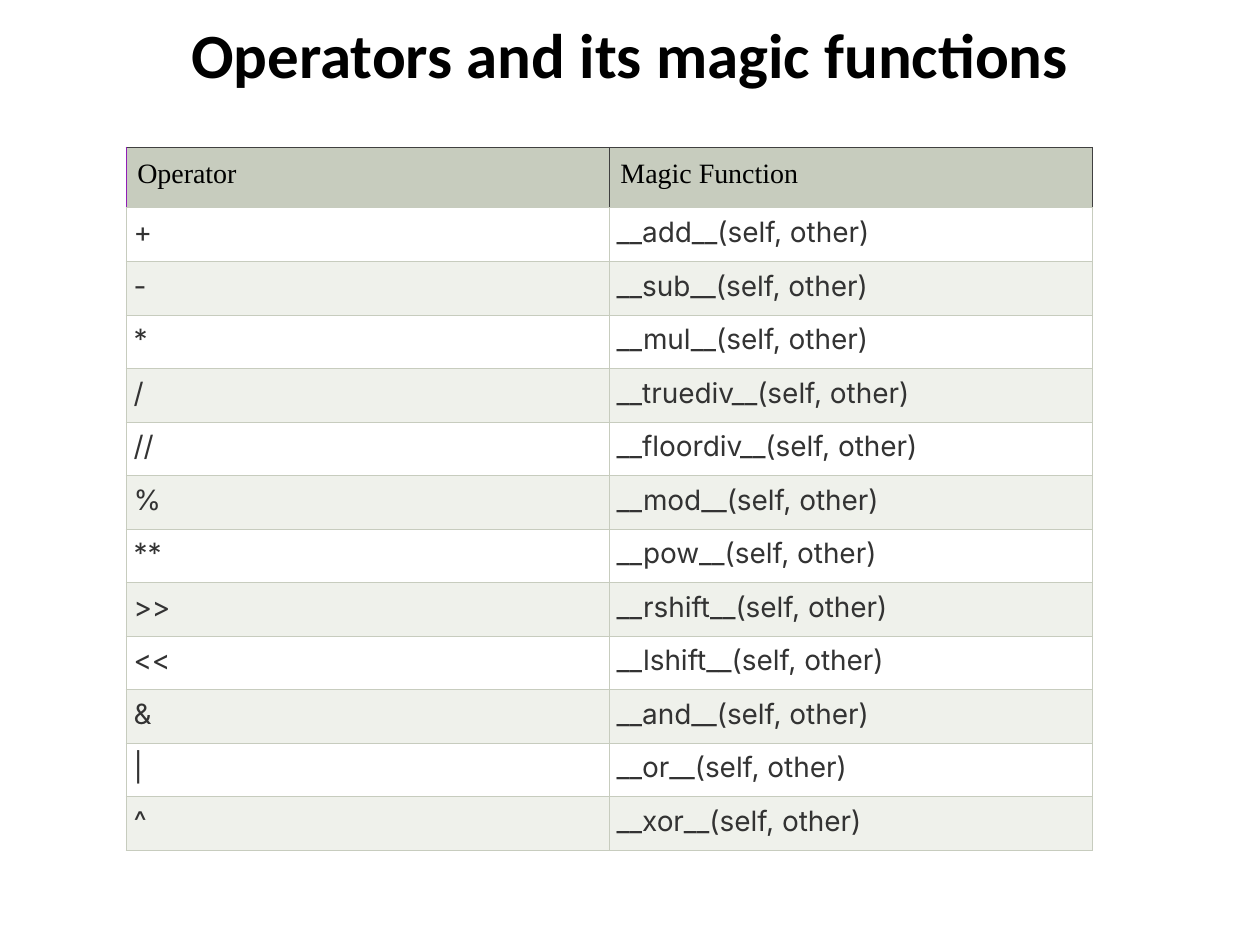
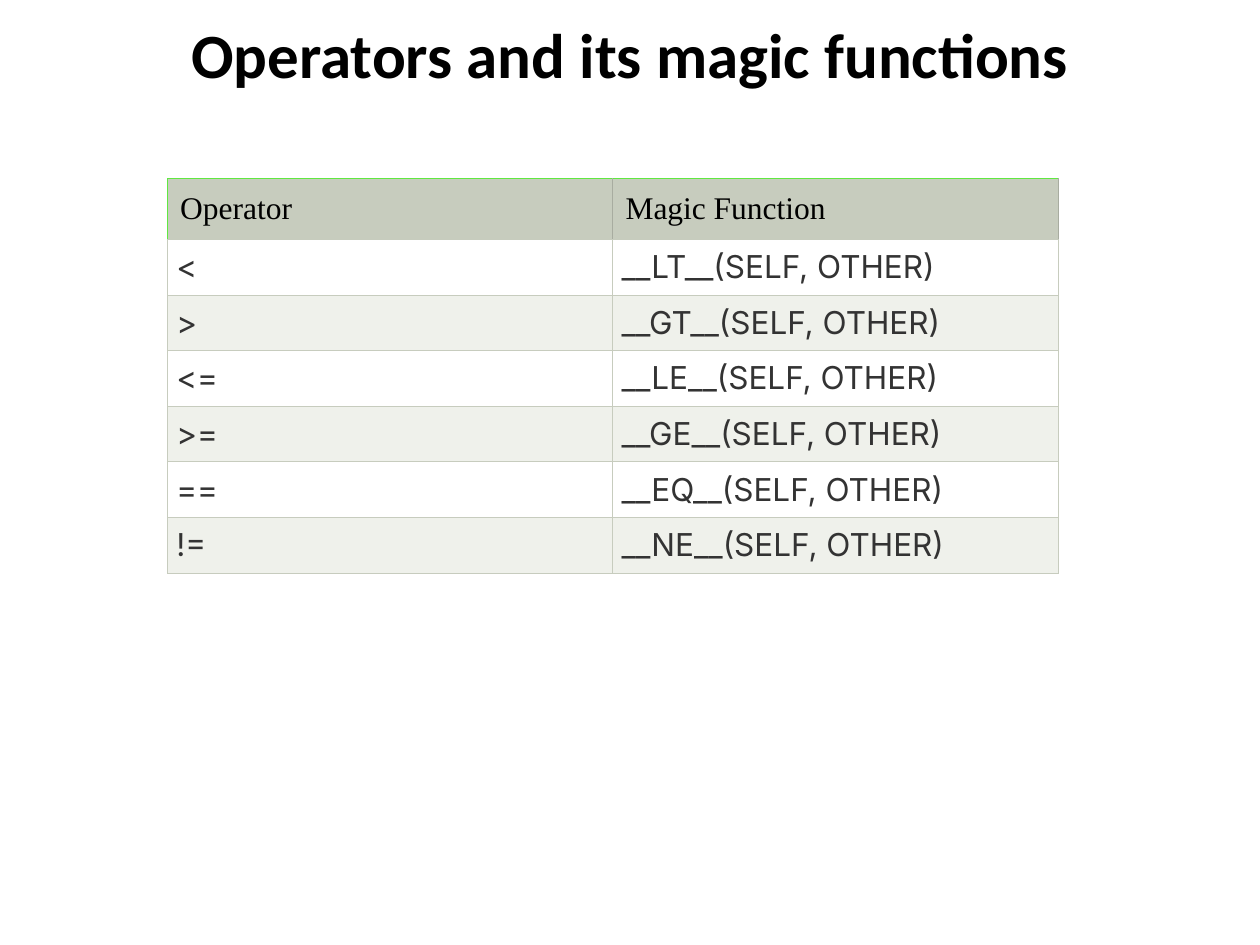
import pptx
import pptx.util
import pptx.dml.color
import pptx.enum.text
import pptx.oxml
import pptx.oxml.ns

Inches = pptx.util.Inches
Pt = pptx.util.Pt
RGBColor = pptx.dml.color.RGBColor
Align = pptx.enum.text.PP_ALIGN
Anchor = pptx.enum.text.MSO_ANCHOR

BLACK = RGBColor(0x00, 0x00, 0x00)
WHITE = RGBColor(0xFF, 0xFF, 0xFF)
INK = RGBColor(0x33, 0x33, 0x33)
SAGE = RGBColor(0xC7, 0xCC, 0xBE)
PALE = RGBColor(0xEF, 0xF1, 0xEB)
PURPLE = RGBColor(0x90, 0x1D, 0xB6)
GREEN = RGBColor(0x60, 0xE8, 0x41)
DARK = RGBColor(0x40, 0x40, 0x40)
GREY = RGBColor(0xA8, 0xAC, 0xA0)

TITLE = "Operators and its magic functions"
HEADS = ("Operator", "Magic Function")
HEAD_H = 0.48

MATH = [
    ("+", "add"), ("-", "sub"), ("*", "mul"), ("/", "truediv"),
    ("//", "floordiv"), ("%", "mod"), ("**", "pow"), (">>", "rshift"),
    ("<<", "lshift"), ("&", "and"), ("|", "or"), ("^", "xor"),
]
TESTS = [
    ("<", "lt"), (">", "gt"), ("<=", "le"),
    (">=", "ge"), ("==", "eq"), ("!=", "ne"),
]


def style(para, font, size, color, bold=False):
    for run in para.runs:
        run.font.name = font
        run.font.size = Pt(size)
        run.font.color.rgb = color
        run.font.bold = bold


def add_title(slide, left, top, width, height):
    title = slide.shapes.title
    title.left, title.top = Inches(left), Inches(top)
    title.width, title.height = Inches(width), Inches(height)
    frame = title.text_frame
    frame.text = TITLE
    frame.vertical_anchor = Anchor.MIDDLE
    para = frame.paragraphs[0]
    para.alignment = Align.CENTER
    style(para, "Calibri", 36, BLACK, True)


def set_edges(cell, left, right, top, base):
    props = cell._tc.get_or_add_tcPr()
    space = pptx.oxml.ns.nsdecls("a")
    sides = zip("LRTB", (left, right, top, base))
    for spot, (side, color) in enumerate(sides):
        line = pptx.oxml.parse_xml(
            f'<a:ln{side} {space} w="{Pt(0.6)}"><a:solidFill>'
            f'<a:srgbClr val="{color}"/></a:solidFill></a:ln{side}>'
        )
        props.insert(spot, line)


def fill_cell(cell, text, fill, inset, edges):
    cell.text_frame.text = text
    cell.fill.solid()
    cell.fill.fore_color.rgb = fill
    cell.margin_left = cell.margin_right = Inches(inset)
    cell.margin_top = cell.margin_bottom = Inches(inset)
    cell.vertical_anchor = Anchor.TOP
    set_edges(cell, *edges)
    return cell.text_frame.paragraphs[0]


def add_grid(slide, box, rows, size, insets, rims):
    left, top, width, height = box
    first, side, upper = rims
    grid = slide.shapes.add_table(
        len(rows) + 1, 2, *(Inches(part) for part in box)
    ).table
    for col in grid.columns:
        col.width = Inches(width / 2)
    for row in grid.rows:
        row.height = Inches((height - HEAD_H) / len(rows))
    grid.rows[0].height = Inches(HEAD_H)

    for col, text in enumerate(HEADS):
        edges = (side if col else first, side, upper, SAGE)
        para = fill_cell(grid.cell(0, col), text, SAGE, insets[0], edges)
        style(para, "Times New Roman", size, BLACK)
    for num, row in enumerate(rows, 1):
        fill = WHITE if num % 2 else PALE
        for col, text in enumerate(row):
            cell = grid.cell(num, col)
            para = fill_cell(cell, text, fill, insets[1], [SAGE] * 4)
            para.alignment = Align.JUSTIFY
            style(para, "Inter", size, INK)


def add_page(deck, box, rows, size, insets, rims):
    slide = deck.slides.add_slide(deck.slide_layouts[5])
    add_title(slide, 0, -0.08, 10, 1)
    add_grid(slide, box, rows, size, insets, rims)


def main():
    deck = pptx.Presentation()
    deck.slide_width, deck.slide_height = Inches(10), Inches(7.5)
    math = [(sign, f"__{name}__(self, other)") for sign, name in MATH]
    tests = [(sign, f"__{name}__(self, other)".upper()) for sign, name in TESTS]
    add_page(deck, (1, 1.17, 7.67, 5.58), math, 16, (0.09, 0.06),
             (PURPLE, DARK, DARK))
    add_page(deck, (1.33, 1.42, 7.07, 3.1), tests, 18, (0.1, 0.07),
             (GREEN, GREY, GREEN))
    deck.save("out.pptx")


if __name__ == "__main__":
    main()
